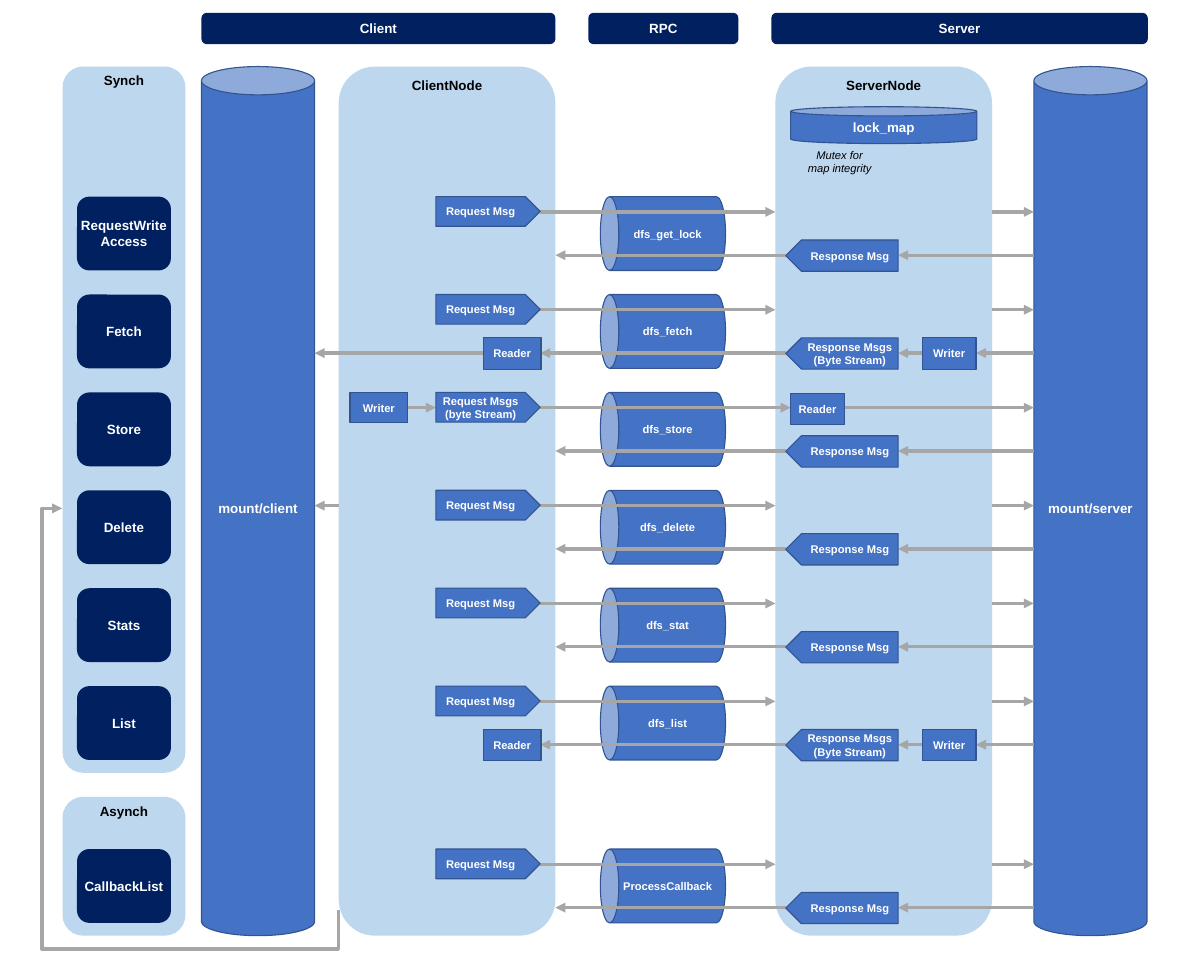
from dataclasses import dataclass

from lxml.etree import SubElement
from pptx import Presentation
from pptx.dml.color import RGBColor
from pptx.enum.shapes import MSO_CONNECTOR, MSO_SHAPE
from pptx.enum.text import MSO_ANCHOR, PP_ALIGN
from pptx.oxml.ns import qn
from pptx.util import Inches, Pt

NAVY, BLUE, EDGE, PALE = "002060", "4472C4", "325491", "BDD7EE"
GREY, WHITE, BLACK = "A6A6A6", "FFFFFF", "000000"
Span = tuple[float, float]

# Row rhythm: tops of the calls and offsets inside a row
FIRST, STEP, LAST = 2.45, 1.22, 10.58
ASK, REPLY = 0.19, 0.73

# Wire ends, left to right
MOUNT, NODE, OUT, EDGE_C = 3.92, 4.22, 6.73, 6.92
EDGE_S, REPLY_L, REPLY_R = 9.66, 9.79, 11.19
NODE_R, STORE = 12.36, 12.88


@dataclass
class Look:
    kind: MSO_SHAPE
    fill: str
    line: str = ""
    ink: str = WHITE
    size: int = 12
    anchor: MSO_ANCHOR = MSO_ANCHOR.MIDDLE
    adj: tuple[float, ...] = ()


@dataclass
class Item:
    text: str
    box: tuple[float, float, float, float]
    look: Look


@dataclass
class Row:
    call: str
    rpc: str
    top: float
    ask: str
    reply: str
    asks: tuple[Span, ...]
    replies: tuple[Span, ...]
    extras: tuple[Item, ...] = ()


BAR = Look(MSO_SHAPE.ROUNDED_RECTANGLE, NAVY)
PANEL = Look(MSO_SHAPE.ROUNDED_RECTANGLE, PALE, ink=BLACK, anchor=MSO_ANCHOR.TOP)
DRUM = Look(MSO_SHAPE.CAN, BLUE, EDGE)
PIPE = Look(MSO_SHAPE.CAN, BLUE, EDGE, size=10)
STEP_BOX = Look(MSO_SHAPE.RECTANGLE, BLUE, EDGE, size=10)
SEND = Look(MSO_SHAPE.RIGHT_ARROW, BLUE, EDGE, size=10, adj=(1, 0.5))
BACK = Look(MSO_SHAPE.LEFT_ARROW, BLUE, EDGE, size=10, adj=(1, 0.5))

FRAME = [
    Item("Synch", (0.78, 0.83, 1.53, 8.8), PANEL),
    Item("Asynch", (0.78, 9.93, 1.53, 1.73), PANEL),
    Item("ClientNode", (4.22, 0.83, 2.7, 10.83), PANEL),
    Item("ServerNode", (9.66, 0.83, 2.7, 10.83), PANEL),
    Item("Client", (2.51, 0.16, 4.41, 0.39), BAR),
    Item("RPC", (7.33, 0.16, 1.87, 0.39), BAR),
    Item("Server", (9.61, 0.16, 4.69, 0.39), BAR),
    Item("mount/client", (2.51, 0.83, 1.41, 10.83), DRUM),
    Item("mount/server", (12.88, 0.83, 1.41, 10.83), DRUM),
    Item("lock_map", (9.85, 1.33, 2.32, 0.46), DRUM),
]

# Shared wire sets; boxes in a row are placed relative to its top
ASKS = ((OUT, EDGE_S), (NODE_R, STORE))
REPLIES = ((STORE, REPLY_R), (REPLY_L, EDGE_C))
PULL = ((STORE, 12.16), (11.49, REPLY_R), (REPLY_L, OUT))
PUSH = ((5.07, 5.43), (OUT, 9.85), (10.52, STORE))
PULLERS = (Item("Reader", (6.02, 0.54, 0.72, 0.39), STEP_BOX),
           Item("Writer", (11.49, 0.54, 0.67, 0.39), STEP_BOX))
PUSHERS = (Item("Writer", (4.36, 0, 0.72, 0.38), STEP_BOX),
           Item("Reader", (9.85, 0.01, 0.67, 0.39), STEP_BOX))
REQ, RES = "Request Msg", "Response Msg"
REQS, RESS = "Request Msgs (byte Stream)", "Response Msgs (Byte Stream)"

TOPS = [FIRST + STEP * i for i in range(6)] + [LAST]
ROWS = [
    Row("RequestWriteAccess", "dfs_get_lock", TOPS[0], REQ, RES, ASKS, REPLIES),
    Row("Fetch", "dfs_fetch", TOPS[1], REQ, RESS, ASKS, PULL + ((6.02, MOUNT),), PULLERS),
    Row("Store", "dfs_store", TOPS[2], REQS, RES, PUSH, REPLIES, PUSHERS),
    Row("Delete", "dfs_delete", TOPS[3], REQ, RES, ASKS + ((NODE, MOUNT),), REPLIES),
    Row("Stats", "dfs_stat", TOPS[4], REQ, RES, ASKS, REPLIES),
    Row("List", "dfs_list", TOPS[5], REQ, RESS, ASKS, PULL, PULLERS),
    Row("CallbackList", "ProcessCallback", TOPS[6], REQ, RES, ASKS, REPLIES),
]


def color(code: str) -> RGBColor:
    return RGBColor.from_string(code)


def write(shape, text: str, anchor: MSO_ANCHOR, ink: str, **style) -> None:
    frame = shape.text_frame
    form = {"word_wrap": True, "vertical_anchor": anchor, "margin_left": 0,
            "margin_right": 0, "margin_top": 0, "margin_bottom": 0}
    for name, value in form.items():
        setattr(frame, name, value)
    para = frame.paragraphs[0]
    para.alignment = PP_ALIGN.CENTER
    run = para.add_run()
    run.text = text
    for name, value in ({"name": "Arial"} | style).items():
        setattr(run.font, name, value)
    run.font.color.rgb = color(ink)


def draw(shapes, item: Item, top: float = 0):
    look = item.look
    x, y, w, h = item.box
    shape = shapes.add_shape(look.kind, Inches(x), Inches(top + y), Inches(w), Inches(h))
    shape.shadow.inherit = False
    shape.fill.solid()
    shape.fill.fore_color.rgb = color(look.fill)
    if look.line:
        shape.line.color.rgb = color(look.line)
        shape.line.width = Pt(1)
    else:
        shape.line.fill.background()
    for i, value in enumerate(look.adj):
        shape.adjustments[i] = value
    write(shape, item.text, look.anchor, look.ink, size=Pt(look.size), bold=True)
    return shape


def wire(shapes, start: Span, end: Span, kind=MSO_CONNECTOR.STRAIGHT):
    line = shapes.add_connector(kind, *(Inches(v) for v in start + end))
    line.line.color.rgb = color(GREY)
    line.line.width = Pt(3)
    props = line.element.spPr
    SubElement(props.find(qn("a:ln")), qn("a:tailEnd"), type="triangle")
    SubElement(props, qn("a:effectLst"))
    return line


def draw_row(shapes, row: Row) -> None:
    draw(shapes, Item(row.call, (0.96, 0, 1.17, 0.92), BAR), row.top)
    # The pipe lies on its side, with its text turned back upright
    pipe = draw(shapes, Item(row.rpc, (7.8, -0.32, 0.92, 1.56), PIPE), row.top)
    pipe.rotation = 270
    pipe.element.txBody.find(qn("a:bodyPr")).set("vert", "vert")
    for shift, spans in ((ASK, row.asks), (REPLY, row.replies)):
        for start, end in spans:
            wire(shapes, (start, row.top + shift), (end, row.top + shift))
    draw(shapes, Item(row.ask, (5.43, 0, 1.3, 0.37), SEND), row.top)
    draw(shapes, Item(row.reply, (9.79, 0.54, 1.4, 0.39), BACK), row.top)
    for extra in row.extras:
        draw(shapes, extra, row.top)


def draw_loop(shapes) -> None:
    # Four-bend wire, turned a quarter, from the client node to the calls
    loop = wire(shapes, (5.0, 7.12), (-0.01, 10.56), MSO_CONNECTOR.ELBOW)
    props = loop.element.spPr
    props.find(qn("a:xfrm")).set("rot", "5400000")
    geom = props.find(qn("a:prstGeom"))
    geom.set("prst", "bentConnector4")
    guides = geom.find(qn("a:avLst"))
    if guides is None:
        guides = SubElement(geom, qn("a:avLst"))
    for name, value in (("adj1", -9600), ("adj2", 107300)):
        SubElement(guides, qn("a:gd"), name=name, fmla=f"val {value}")


def main() -> None:
    deck = Presentation()
    deck.slide_width, deck.slide_height = Inches(15), Inches(12)
    shapes = deck.slides.add_slide(deck.slide_layouts[6]).shapes

    # Panels, headings and stores
    for item in FRAME:
        draw(shapes, item)
    note = shapes.add_textbox(Inches(10.05), Inches(1.89), Inches(0.82), Inches(0.24))
    write(note, "Mutex for map integrity", MSO_ANCHOR.MIDDLE, BLACK, size=Pt(10), italic=True)

    # Calls and the loop back to them
    for row in ROWS:
        draw_row(shapes, row)
    draw_loop(shapes)
    deck.save("out.pptx")


if __name__ == "__main__":
    main()
